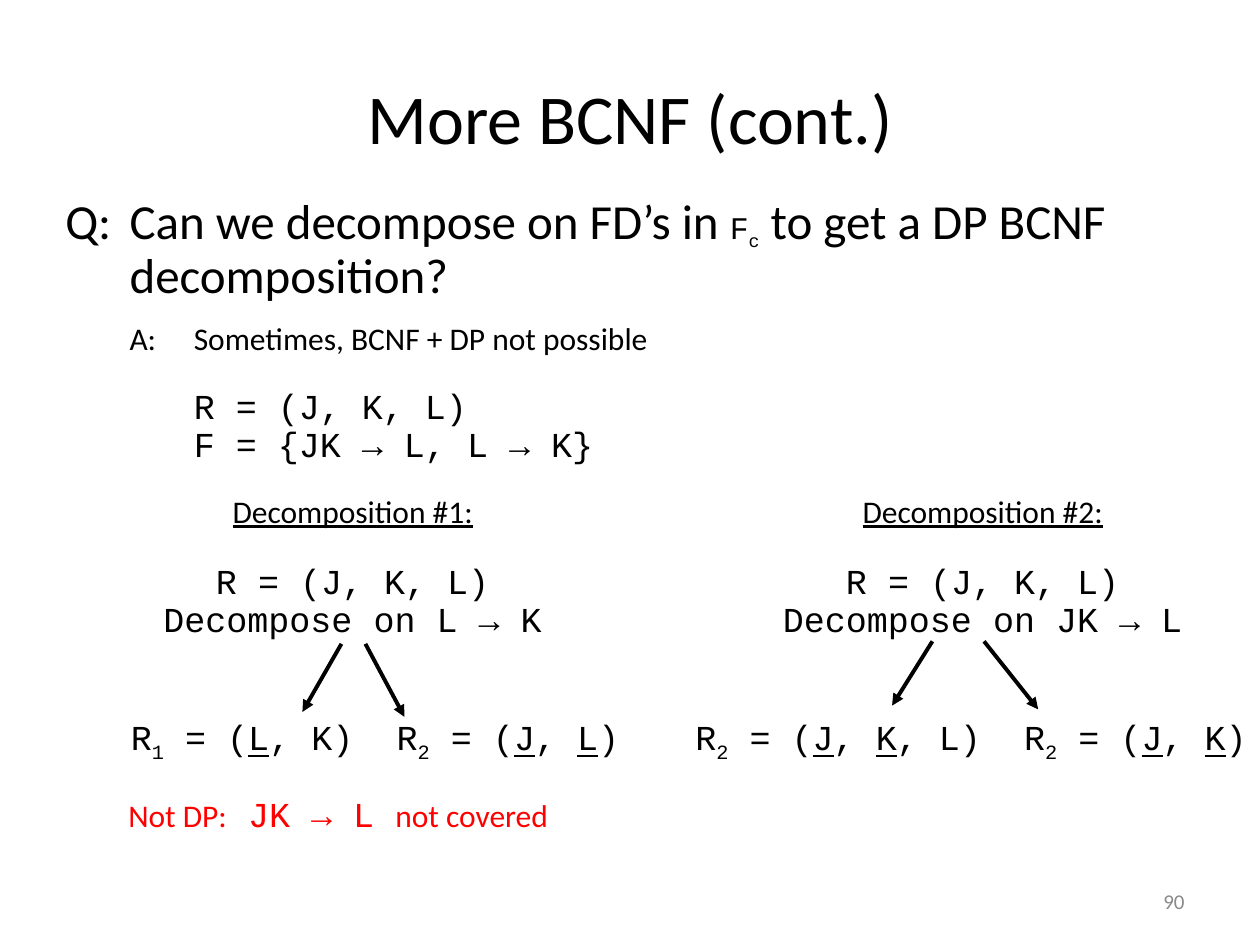
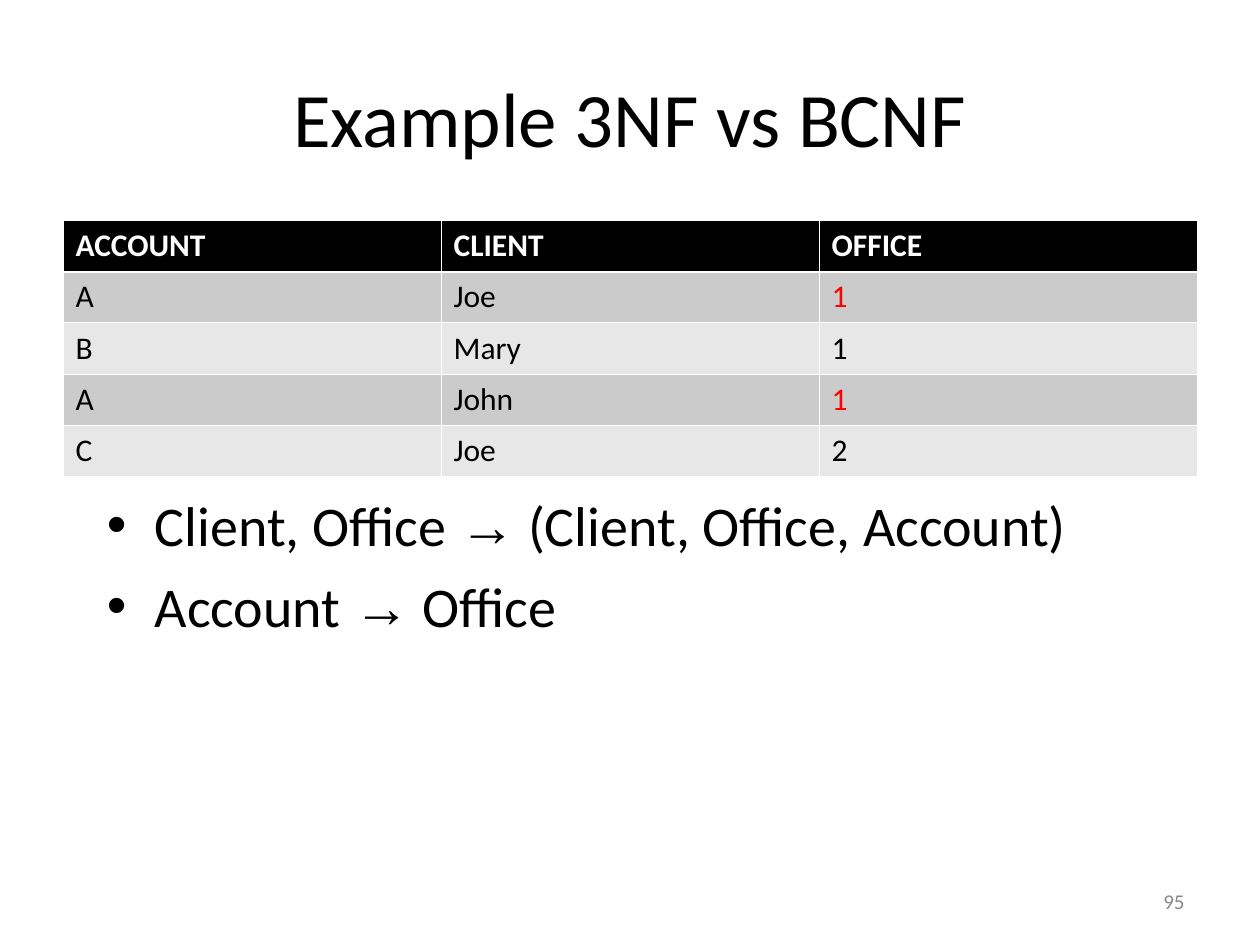
from lxml import etree
from pptx import Presentation
from pptx.dml.color import RGBColor
from pptx.enum.shapes import MSO_CONNECTOR
from pptx.enum.text import MSO_ANCHOR, MSO_AUTO_SIZE, PP_ALIGN
from pptx.oxml.ns import qn
from pptx.util import Inches, Pt

LEFT, CENTER, RIGHT = PP_ALIGN.LEFT, PP_ALIGN.CENTER, PP_ALIGN.RIGHT
MIDDLE = MSO_ANCHOR.MIDDLE
FIXED = MSO_AUTO_SIZE.NONE
STRAIGHT = MSO_CONNECTOR.STRAIGHT
TITLE_ONLY = 5

COLORS = {
    "ink": "000000", "paper": "FFFFFF", "alert": "FF0000",
    "page": "898989", "dark": "CBCBCB", "pale": "E7E7E7",
}
SANS, MONO, ARROW = "Calibri", "Courier New", "Arial"
STYLES = {
    "ask": (SANS, 28), "body": (SANS, 18), "head": (SANS, 18),
    "code": (MONO, 20), "key": (MONO, 20), "sub": (MONO, 20),
    "small": (MONO, 18), "tiny": (MONO, 18),
    "list": (SANS, 32), "arrow": (ARROW, 32), "page": (SANS, 12),
}
UNDERLINED = {"head", "key"}
LOWERED = {"sub", "tiny"}
INDENT = 0.51


def rgb(name):
    """Return the named colour."""
    return RGBColor.from_string(COLORS[name])


def style(font, face, size, color="ink", bold=False):
    """Format one font."""
    font.name, font.size, font.bold = face, Pt(size), bold
    font.color.rgb = rgb(color)


def fill_line(para, parts, color="ink"):
    """Write (text, style) parts as the runs of a paragraph."""
    for text, kind in parts:
        run = para.add_run()
        run.text = text
        style(run.font, *STYLES[kind], color)
        if kind in UNDERLINED:
            run.font.underline = True
        if kind in LOWERED:
            run.font._element.set("baseline", "-25000")


def hang(para, left, first):
    """Set the left margin and first-line indent in inches."""
    props = para._p.get_or_add_pPr()
    props.set("marL", str(Inches(left)))
    props.set("indent", str(Inches(first)))
    return props


def add_text(slide, box, lines, color="ink", align=LEFT, space=None):
    """Add a text box with one paragraph for each list of parts."""
    frame = slide.shapes.add_textbox(*map(Inches, box)).text_frame
    frame.word_wrap = True
    for i, parts in enumerate(lines):
        para = frame.add_paragraph() if i else frame.paragraphs[0]
        para.alignment = align
        para.line_spacing = space
        fill_line(para, parts, color)
    return frame


def add_slide(deck, title, size, page):
    """Add a slide with its title and page number."""
    slide = deck.slides.add_slide(deck.slide_layouts[TITLE_ONLY])
    head = slide.shapes.title
    head.left, head.top, head.width, head.height = map(Inches, (0.5, 0.3, 9, 1.25))
    frame = head.text_frame
    frame.text = title
    frame.vertical_anchor, frame.auto_size = MIDDLE, FIXED
    frame.paragraphs[0].alignment = CENTER
    style(frame.paragraphs[0].runs[0].font, SANS, size)
    foot = add_text(slide, (7.17, 6.95, 2.33, 0.4), [[(page, "page")]], "page", RIGHT)
    foot.vertical_anchor = MIDDLE
    return slide


def add_arrow(slide, start, end):
    """Draw a straight arrow between two points."""
    line = slide.shapes.add_connector(STRAIGHT, *map(Inches, (*start, *end)))
    line.line.color.rgb = rgb("ink")
    line.line.width = Pt(2.25)
    etree.SubElement(line.line._get_or_add_ln(), qn("a:tailEnd"), type="triangle")
    etree.SubElement(line._element.spPr, qn("a:effectLst"))


def add_query(slide, left, top):
    """Place the question, its answer and the given schema."""
    ask = [("Q:\tCan we decompose on FD’s in ", "ask"), ("F", "small"),
           ("c", "tiny"), (" to get a DP BCNF decomposition?", "ask")]
    reply = [("A:\tSometimes, BCNF + DP not possible", "body")]
    schema = [[("R = (J, K, L)", "code")], [("F = {JK → L, L → K}", "code")]]
    for box, lines, first in (
        ((left, top, 9.61, 0.95), [ask], -INDENT),
        ((left + INDENT, top + 1.01, 5.87, 0.37), [reply], -INDENT),
        ((left + INDENT, top + 1.53, 5, 0.7), schema, 0),
    ):
        frame = add_text(slide, box, lines, space=0.9)
        for para in frame.paragraphs:
            hang(para, INDENT, first)


def add_split(slide, left, top, name, rule, arrows, parts):
    """Place one decomposition: heading, rule, arrows and resulting schemas."""
    add_text(slide, (left, top, 5, 0.37), [[(name, "head")]], align=CENTER, space=0.9)
    lines = [[("R = (J, K, L)", "code")], [("Decompose on " + rule, "code")]]
    add_text(slide, (left, top + 0.54, 5, 0.7), lines, align=CENTER, space=0.9)
    for ends in arrows:
        add_arrow(slide, *[(left + x, top + y) for x, y in ends])
    for x, width, index, keys, rest in parts:
        runs = [("R", "code"), (index, "sub"), (" = (", "code")]
        for i, key in enumerate(keys):
            runs += [(", ", "code")] * (i > 0) + [(key, "key")]
        runs.append((rest, "code"))
        frame = add_text(slide, (left + x, top + 1.74, width, 0.48), [runs])
        frame.margin_right = 0


def add_grid(slide, left, top, rows):
    """Place the account table with banded rows."""
    shape = slide.shapes.add_table(
        len(rows), 3, *map(Inches, (left, top, 9, 2.03)))
    for r, row in enumerate(rows):
        for c, text in enumerate(row):
            cell = shape.table.cell(r, c)
            cell.text = text
            cell.fill.solid()
            cell.fill.fore_color.rgb = rgb(
                "ink" if r == 0 else "dark" if r % 2 else "pale")
            alert = r > 0 and c == 2 and row[0] == "A"
            color = "paper" if r == 0 else "alert" if alert else "ink"
            style(cell.text_frame.paragraphs[0].runs[0].font, SANS, 18, color, r == 0)
            thick = {"lnB": r == 0, "lnT": r == 1}
            for i, side in enumerate(("lnL", "lnR", "lnT", "lnB")):
                width = Pt(1.47 if thick.get(side) else 0.45)
                edge = etree.Element(qn("a:" + side), w=str(width))
                paint = etree.SubElement(edge, qn("a:solidFill"))
                etree.SubElement(paint, qn("a:srgbClr"), val=COLORS["paper"])
                cell._tc.get_or_add_tcPr().insert(i, edge)


def add_rules(slide, left, top, rules):
    """Place the bulleted dependencies."""
    lines = [[(a + " ", "list"), ("→", "arrow"), (" " + b, "list")] for a, b in rules]
    frame = add_text(slide, (left, top, 8.86, 2.28), lines)
    for i, para in enumerate(frame.paragraphs):
        para.space_before = Pt(8 if i else 0)
        props = hang(para, 0.38, -0.38)
        etree.SubElement(props, qn("a:buFont"), typeface=ARROW)
        etree.SubElement(props, qn("a:buChar"), char="•")


def build_split(deck):
    """Build the slide on the two decompositions."""
    slide = add_slide(deck, "More BCNF (cont.)", 40, "90")
    add_query(slide, 0.42, 1.51)
    add_split(slide, 0.3, 3.89, "Decomposition #1:", "L → K",
              [((2.41, 1.22), (2.1, 1.76)), ((2.6, 1.22), (2.91, 1.8))],
              [(0.64, 1.96, "1", "L", ", K)"), (2.75, 1.96, "2", "JL", ")")])
    add_split(slide, 5.3, 3.89, "Decomposition #2:", "JK → L",
              [((2.1, 1.2), (1.78, 1.71)), ((2.51, 1.2), (2.94, 1.74))],
              [(0.12, 2.47, "2", "JK", ", L)"), (2.73, 1.96, "2", "JK", ")")])
    note = [("Not DP:", "body"), (" JK → L ", "code"), ("not covered", "body")]
    add_text(slide, (0.92, 6.24, 4.2, 0.44), [note], "alert")


def build_table(deck):
    """Build the slide with the example table."""
    slide = add_slide(deck, "Example 3NF vs BCNF", 44, "95")
    add_rules(slide, 0.75, 3.84, [("Client, Office", "(Client, Office, Account)"),
                                  ("Account", "Office")])
    add_grid(slide, 0.5, 1.75, [
        ("ACCOUNT", "CLIENT", "OFFICE"), ("A", "Joe", "1"), ("B", "Mary", "1"),
        ("A", "John", "1"), ("C", "Joe", "2")])


def main():
    """Build and save the deck."""
    deck = Presentation()
    deck.slide_width, deck.slide_height = Inches(10), Inches(7.5)
    build_split(deck)
    build_table(deck)
    deck.save("out.pptx")


if __name__ == "__main__":
    main()
